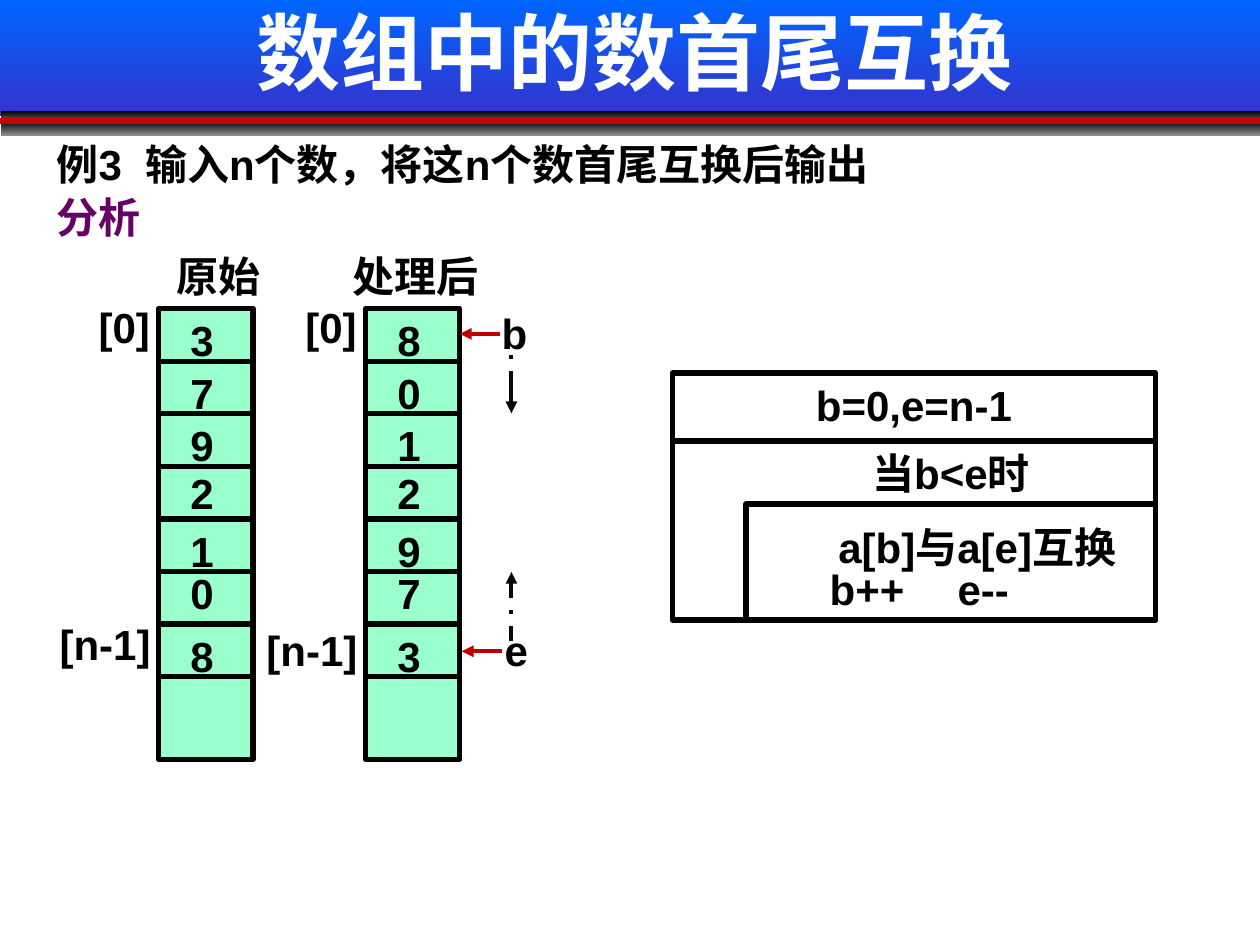
from lxml.etree import SubElement
from pptx import Presentation
from pptx.dml.color import RGBColor
from pptx.enum.dml import MSO_LINE_DASH_STYLE as Dash
from pptx.enum.shapes import MSO_CONNECTOR, MSO_SHAPE
from pptx.enum.text import MSO_ANCHOR as Anchor, PP_ALIGN as Align
from pptx.oxml.ns import qn
from pptx.util import Cm, Pt

LATIN, CJK = "Arial", "Noto Sans CJK SC"
BLACK, MINT, RED, INK = "000000", "99FFCC", "C00000", "080808"
ROW = 1.06


def rgb(value):
    return RGBColor.from_string(value)


def style_text(tf, text, color=BLACK, size=24, font=LATIN, align=Align.CENTER,
               anchor=Anchor.TOP):
    tf.text = text
    tf.vertical_anchor = anchor
    p = tf.paragraphs[0]
    p.alignment = align
    r = p.runs[0]
    r.font.size, r.font.bold, r.font.name = Pt(size), True, font
    r.font.color.rgb = rgb(color)
    SubElement(r.font._element, qn("a:ea")).set("typeface", CJK)


def add_text(slide, x, y, w, h, text, wrap=True, **style):
    sp = slide.shapes.add_textbox(Cm(x), Cm(y), Cm(w), Cm(h))
    sp.text_frame.word_wrap = wrap
    style_text(sp.text_frame, text, **style)
    return sp


def add_label(slide, x, y, w, h, text):
    return add_text(slide, x, y, w, h, text, wrap=False, anchor=Anchor.MIDDLE)


def add_rect(slide, x, y, w, h, fill=None, line=BLACK):
    sp = slide.shapes.add_shape(MSO_SHAPE.RECTANGLE, Cm(x), Cm(y), Cm(w), Cm(h))
    sp.shadow.inherit = False
    if fill:
        sp.fill.solid()
        sp.fill.fore_color.rgb = rgb(fill)
    else:
        sp.fill.background()
    if line:
        sp.line.color.rgb = rgb(line)
        sp.line.width = Pt(3)
    else:
        sp.line.fill.background()
    return sp


def add_gradient(slide, x, y, w, h, top, bottom):
    sp = add_rect(slide, x, y, w, h, line=None)
    sp.fill.gradient()
    sp.fill.gradient_angle = 270
    for stop, color, position in zip(sp.fill.gradient_stops, (top, bottom), (0, 1)):
        stop.color.rgb = rgb(color)
        stop.position = position


def add_line(slide, x1, y1, x2, y2, color=BLACK, width=3, dash=None, arrow=None):
    """arrow is headEnd (at the start) or tailEnd (at the finish)."""
    line = slide.shapes.add_connector(MSO_CONNECTOR.STRAIGHT,
                                      Cm(x1), Cm(y1), Cm(x2), Cm(y2))
    line.line.color.rgb = rgb(color)
    line.line.width = Pt(width)
    if dash:
        line.line.dash_style = dash
    if arrow:
        SubElement(line.line._get_or_add_ln(), qn("a:" + arrow)).set("type", "triangle")
    SubElement(line._element.spPr, qn("a:effectLst"))


def add_header(slide, x, y, w, text):
    # Blue band, two dark bars and a red rule
    add_gradient(slide, x, y, w, 2.34, "0066FF", "3333CC")
    for top in (2.24, 2.44):
        add_gradient(slide, x + 0.03, y + top, w - 0.03, 0.3, BLACK, "929292")
    add_line(slide, x, y + 2.44, x + w, y + 2.44, "CC0000")

    # Title, brought in front of the band
    title = slide.shapes.title
    title.left, title.top = Cm(x + 1.7), Cm(y - 0.08)
    title.width, title.height = Cm(22.2), Cm(2.21)
    style_text(title.text_frame, text, "FFFFFF", 48, CJK, anchor=Anchor.MIDDLE)
    slide.shapes._spTree.append(title._element)


def add_problem(slide, x, y):
    add_text(slide, x, y, 22.4, 1.4, "例3  输入n个数，将这n个数首尾互换后输出",
             align=Align.LEFT)
    add_text(slide, x, y + 1.06, 11.91, 1.4, "分析", color="660066", font=CJK,
             align=Align.LEFT)


def add_array(slide, x, y, heading, heading_dx, heading_w, values, last_dy):
    w = 1.9
    add_rect(slide, x, y, w, 9.09, MINT)

    # Values, with the middle one on its own filled cell
    row_tops = (0, 1, 2, 3, 4, 4.8, 6)
    for k, (value, top) in enumerate(zip(values, row_tops)):
        middle = k == 3
        sp = add_label(slide, x + 0.38, y + top * ROW, 0.99,
                       ROW if middle else 1.27, value)
        if middle:
            sp.fill.solid()
            sp.fill.fore_color.rgb = rgb(MINT)
            sp.text_frame.margin_top = sp.text_frame.margin_bottom = Cm(0.03)

    # Row rules
    for k in range(1, len(values) + 1):
        add_line(slide, x, y + k * ROW, x + w, y + k * ROW)

    # Heading and index labels
    add_text(slide, x + heading_dx, y - 1.3, heading_w, 1.4, heading, font=CJK,
             align=Align.LEFT)
    add_label(slide, x - 1.47, y - 0.28, 1.55, 1.3, "[0]")
    add_label(slide, x - 2.26, y + last_dy, 2.36, 1.3, "[n-1]")


def add_pointers(slide, x, y):
    # Each index with its arrow to the cell
    for dx, dy, name in ((0, 0, "b"), (0.04, 6.4, "e")):
        add_line(slide, x + dx, y + dy + 0.68, x + dx + 0.8, y + dy + 0.68,
                 RED, 2.25, arrow="headEnd")
        add_label(slide, x + dx + 0.59, y + dy, 1.02, 1.3, name)

    # Directions of travel
    travel_x = x + 1.04
    add_line(slide, travel_x, y + 2.28, travel_x, y + 0.88, INK, 2.25,
             Dash.DASH_DOT_DOT, "headEnd")
    add_line(slide, travel_x, y + 6.88, travel_x, y + 5.48, INK, 2.25,
             Dash.DASH_DOT, "tailEnd")


def add_flow_box(slide, x, y, w):
    # Nested frames: start, loop, loop body
    start = add_rect(slide, x, y, w, 1.37)
    style_text(start.text_frame, "b=0,e=n-1")
    add_rect(slide, x, y + 1.37, w, 3.61)
    add_rect(slide, x + 1.48, y + 2.64, w - 1.48, 2.34)

    # Loop condition and steps
    for dx, dy, width, text in ((2.75, 1.37, 5.72, "当b<e时"),
                                (2.75, 2.87, 6.78, "a[b]与a[e]互换"),
                                (2.75, 3.71, 2.34, "b++"),
                                (5.09, 3.71, 2.34, "e--")):
        add_text(slide, x + dx, y + dy, width, 1.27, text)


def main():
    prs = Presentation()
    prs.slide_width, prs.slide_height = Cm(25.4), Cm(19.05)
    slide = prs.slides.add_slide(prs.slide_layouts[5])

    add_header(slide, 0, 0, 25.4, "数组中的数首尾互换")
    add_problem(slide, 0.89, 2.67)
    values = "3792108"
    add_array(slide, 3.2, 6.22, "原始", 0.1, 2.79, values, 6.1)
    add_array(slide, 7.37, 6.22, "处理后", -0.51, 3.2, values[::-1], 6.22)
    add_pointers(slide, 9.27, 6.05)
    add_flow_box(slide, 13.56, 7.52, 9.73)
    prs.save("out.pptx")


if __name__ == "__main__":
    main()
